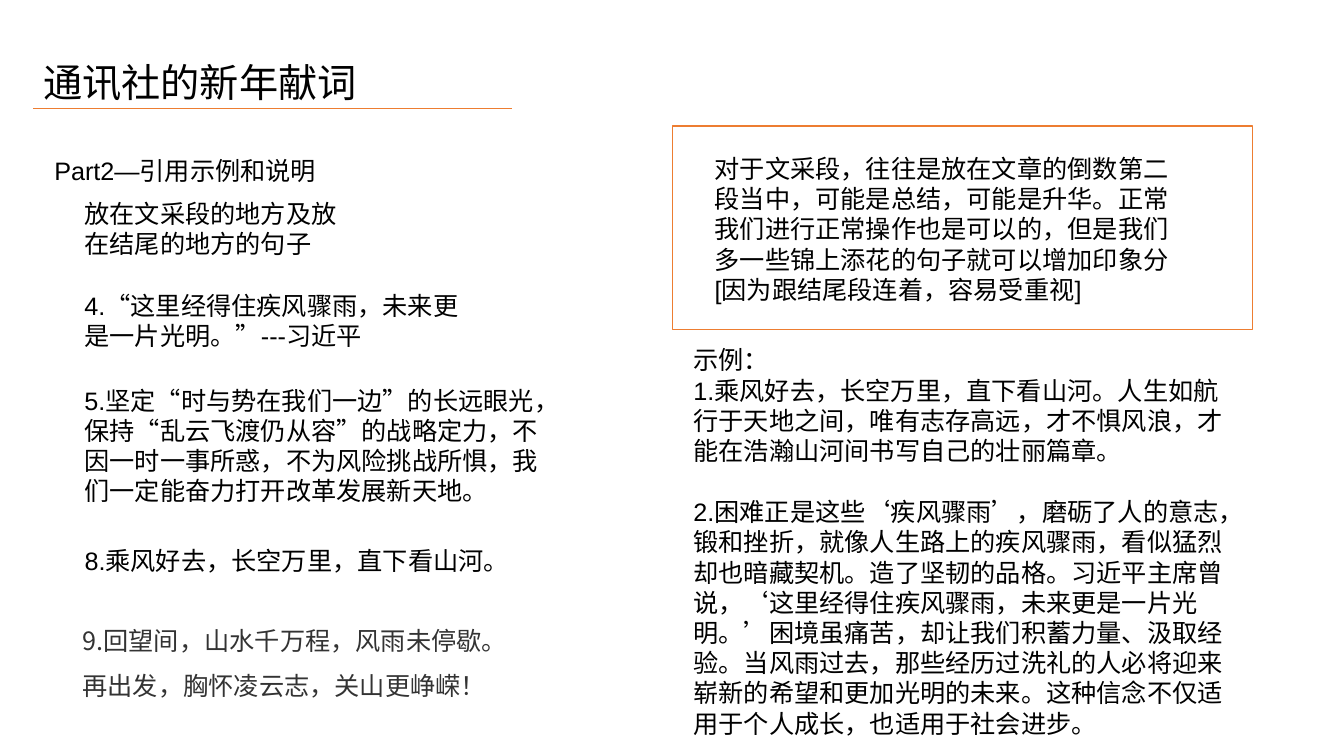
from lxml.etree import SubElement
from pptx import Presentation
from pptx.dml.color import RGBColor
from pptx.enum.shapes import MSO_CONNECTOR, MSO_SHAPE
from pptx.enum.text import MSO_AUTO_SIZE
from pptx.oxml.ns import qn
from pptx.util import Inches, Pt

CJK = "Noto Sans CJK SC"


def color(hex_string):
    return RGBColor.from_string(hex_string)


def write(paragraph, text, size=18, font="Arial", ink="000000", before=0, indent=0):
    paragraph.space_before = Pt(before)
    if indent:
        paragraph._p.get_or_add_pPr().set("indent", str(Inches(indent)))
    run = paragraph.add_run()
    run.text = text
    run.font.size = Pt(size)
    run.font.name = font
    run.font.color.rgb = color(ink)
    properties = run._r.get_or_add_rPr()
    properties.set("lang", "zh-CN")
    SubElement(properties, qn("a:ea")).set("typeface", CJK)


class Page:
    """One slide; every length is a percentage of its width or height."""

    accent = "ED7D31"

    def __init__(self, deck):
        self.width, self.height = deck.slide_width, deck.slide_height
        self.shapes = deck.slides.add_slide(deck.slide_layouts[6]).shapes

    def area(self, x, y, w, h):
        return [round(share * side / 100) for share, side in
                zip((x, y, w, h), (self.width, self.height) * 2)]

    def text(self, area, *paragraphs, wrap=True, gaps=(), **style):
        frame = self.shapes.add_textbox(*self.area(*area)).text_frame
        frame.word_wrap = wrap
        frame.auto_size = MSO_AUTO_SIZE.SHAPE_TO_FIT_TEXT
        for number, content in enumerate(paragraphs):
            paragraph = frame.add_paragraph() if number else frame.paragraphs[0]
            before = gaps[number] if gaps else 0
            write(paragraph, content, before=before, **style)

    def rule(self, x, y, w):
        left, top, length, _ = self.area(x, y, w, 0)
        line = self.shapes.add_connector(MSO_CONNECTOR.STRAIGHT, left, top, left + length, top)
        line.line.color.rgb = color(self.accent)
        line.line.width = Pt(0.5)
        SubElement(line._element.spPr, qn("a:effectLst"))

    def frame(self, *area):
        box = self.shapes.add_shape(MSO_SHAPE.RECTANGLE, *self.area(*area))
        box.shadow.inherit = False
        box.fill.background()
        box.line.color.rgb = color(self.accent)
        box.line.width = Pt(1)


def main():
    deck = Presentation()
    deck.slide_width, deck.slide_height = Inches(13.33), Inches(7.5)
    page = Page(deck)

    # Title and its underline
    page.text((2.48, 7.07, 25.88, 7.6), "通讯社的新年献词", size=28, font=CJK)
    page.rule(2.48, 14.27, 35.63)

    # Left column: quotations
    page.text((3.3, 19.87, 32.03, 5.33), "Part2—引用示例和说明")
    quotations = [
        (25.6, 21.91, 9.47, "放在文采段的地方及放在结尾的地方的句子"),
        (37.73, 30.91, 9.47, "4.“这里经得住疾风骤雨，未来更是一片光明。”---习近平"),
        (50.27, 36.31, 17.47,
         "5.坚定“时与势在我们一边”的长远眼光，保持“乱云飞渡仍从容”的战略定力，"
         "不因一时一事所惑，不为风险挑战所惧，我们一定能奋力打开改革发展新天地。"),
    ]
    for top, width, height, quotation in quotations:
        page.text((5.55, top, width, height), quotation)
    page.text((5.55, 71.47, 33.91, 5.33), "8.乘风好去，长空万里，直下看山河。", wrap=False)
    page.text((2.93, 82, 36.23, 15.47),
              "9.回望间，山水千万程，风雨未停歇。", "再出发，胸怀凌云志，关山更峥嵘！",
              wrap=False, gaps=(11.2, 11.2), font=CJK, ink="333333", indent=0.33)

    # Right column: framed advice
    page.frame(50.04, 16.67, 43.14, 26.93)
    page.text((52.44, 19.6, 36.68, 21.6),
              "对于文采段，往往是放在文章的倒数第二段当中，可能是总结，可能是升华。"
              "正常我们进行正常操作也是可以的，但是我们多一些锦上添花的句子就可以增加印象分"
              "[因为跟结尾段连着，容易受重视]")

    # Right column: worked examples
    page.text((50.86, 44.93, 42.31, 53.87),
              "示例：",
              "1.乘风好去，长空万里，直下看山河。人生如航行于天地之间，唯有志存高远，"
              "才不惧风浪，才能在浩瀚山河间书写自己的壮丽篇章。",
              "2.困难正是这些‘疾风骤雨’，磨砺了人的意志，锻和挫折，就像人生路上的疾风骤雨，"
              "看似猛烈却也暗藏契机。造了坚韧的品格。习近平主席曾说，"
              "‘这里经得住疾风骤雨，未来更是一片光明。’困境虽痛苦，却让我们积蓄力量、汲取经验。"
              "当风雨过去，那些经历过洗礼的人必将迎来崭新的希望和更加光明的未来。"
              "这种信念不仅适用于个人成长，也适用于社会进步。",
              gaps=(0, 0, 22))

    deck.save("out.pptx")


if __name__ == "__main__":
    main()
